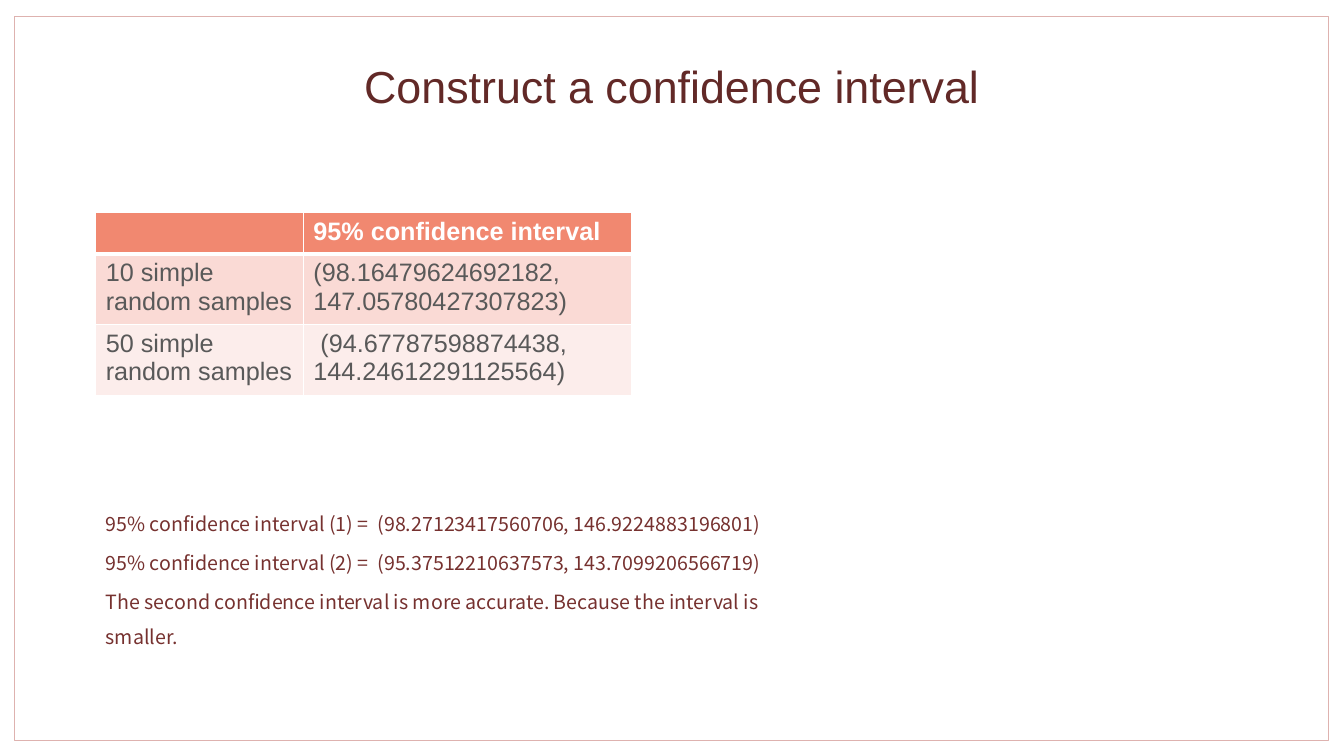
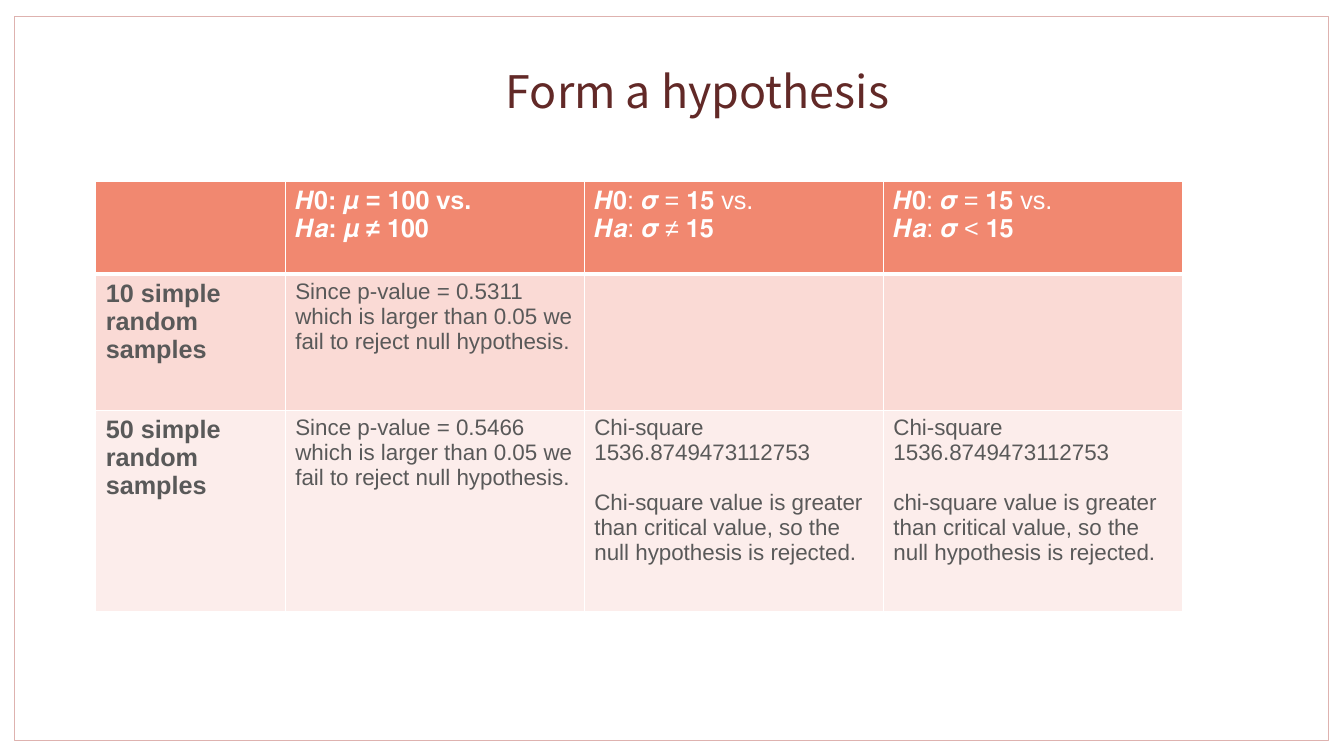
import dataclasses
import lxml.etree
import pptx
import pptx.dml.color
import pptx.enum.shapes
import pptx.enum.text
import pptx.oxml.ns
import pptx.util

Pt = pptx.util.Pt
Align = pptx.enum.text.PP_ALIGN


@dataclasses.dataclass(frozen=True)
class Theme:
    paper: str = "FFFFFF"
    edge: str = "DEB2AF"
    title: str = "622927"
    note: str = "76312F"
    cell: str = "595959"
    head: str = "F18870"
    bands: tuple = ("FADAD5", "FCEDEB")
    sans: str = "Arial"
    noto: str = "Noto Sans CJK SC"
    big: float = 32
    mid: float = 18
    small: float = 16
    tiny: float = 14
    gap: float = 18
    thin: float = 1
    thick: float = 3


THEME = Theme()


def tint(code):
    return pptx.dml.color.RGBColor.from_string(code)


def paint(item, code):
    item.fill.solid()
    item.fill.fore_color.rgb = tint(code)


def write(frame, text, face, size, code, bold=False, gap=0):
    first = True
    for block in text.split("\n\n"):
        for index, line in enumerate(block.split("\n")):
            para = frame.paragraphs[0] if first else frame.add_paragraph()
            para.text = line
            para.font.name = face
            para.font.size = Pt(size)
            para.font.color.rgb = tint(code)
            para.font.bold = bold
            if index == 0 and not first:
                para.space_before = Pt(gap)
            first = False


def add_text(slide, box, text, face, size, code):
    shape = slide.shapes.add_textbox(*map(Pt, box))
    frame = shape.text_frame
    frame.word_wrap = True
    frame.auto_size = pptx.enum.text.MSO_AUTO_SIZE.SHAPE_TO_FIT_TEXT
    write(frame, text, face, size, code)
    return frame


def add_title(slide, box, text, face):
    frame = add_text(slide, box, text, face, THEME.big, THEME.title)
    frame.margin_left = frame.margin_right = 0
    frame.margin_top = frame.margin_bottom = 0
    frame.paragraphs[0].alignment = Align.CENTER


def add_notes(slide, box, text):
    frame = add_text(slide, box, text, THEME.noto, THEME.tiny, THEME.note)
    for para in frame.paragraphs:
        para.line_spacing = 1.5
        para.space_before = Pt(2.8)


def rule_cell(cell, row):
    props = cell._tc.get_or_add_tcPr()
    widths = {
        "lnL": THEME.thin,
        "lnR": THEME.thin,
        "lnT": THEME.thick if row == 1 else THEME.thin,
        "lnB": THEME.thick if row == 0 else THEME.thin,
    }
    name = pptx.oxml.ns.qn
    for index, (side, width) in enumerate(widths.items()):
        line = lxml.etree.Element(name("a:" + side), w=str(int(Pt(width))))
        fill = lxml.etree.SubElement(line, name("a:solidFill"))
        lxml.etree.SubElement(fill, name("a:srgbClr"), val=THEME.paper)
        props.insert(index, line)


def add_grid(slide, spot, cols, rows, texts, size, keyed=False):
    box = (*spot, sum(cols), sum(rows))
    shape = slide.shapes.add_table(len(rows), len(cols), *map(Pt, box))
    table = shape.table
    table.horz_banding = False
    for col, width in zip(table.columns, cols):
        col.width = Pt(width)
    for row, height in zip(table.rows, rows):
        row.height = Pt(height)
    for r, line in enumerate(texts):
        for c, text in enumerate(line):
            cell = table.cell(r, c)
            head = r == 0
            paint(cell, THEME.head if head else THEME.bands[(r - 1) % 2])
            rule_cell(cell, r)
            if text:
                write(
                    cell.text_frame, text, THEME.sans,
                    THEME.mid if head or c == 0 else size,
                    THEME.paper if head else THEME.cell,
                    c < 2 if head else keyed and c == 0,
                    THEME.gap,
                )


def add_page(deck):
    slide = deck.slides.add_slide(deck.slide_layouts[6])
    paint(slide.background, THEME.paper)
    kind = pptx.enum.shapes.MSO_SHAPE.RECTANGLE
    frame = slide.shapes.add_shape(kind, Pt(10), Pt(11.5), Pt(939), Pt(517))
    frame.shadow.inherit = False
    paint(frame, THEME.paper)
    frame.line.color.rgb = tint(THEME.edge)
    frame.line.width = Pt(0.5)
    return slide


def show_range(deck):
    slide = add_page(deck)
    add_grid(
        slide, (68.4, 152), (148.3, 234.7), (29.5, 50.4, 50.4),
        [
            ["", "95% confidence interval"],
            ["10 simple random samples", "(98.16479624692182, 147.05780427307823)"],
            ["50 simple random samples", " (94.67787598874438, 144.24612291125564)"],
        ],
        THEME.mid,
    )
    add_title(slide, (247, 41.8, 466, 39), "Construct a confidence interval", THEME.sans)
    add_notes(
        slide, (68.4, 353.5, 512.6, 113),
        "95% confidence interval (1) =  (98.27123417560706, 146.9224883196801)\n"
        "95% confidence interval (2) =  (95.37512210637573, 143.7099206566719)\n"
        "The second confidence interval is more accurate. Because the interval is smaller.",
    )


def show_tests(deck):
    slide = add_page(deck)
    add_title(slide, (347.8, 45.4, 301, 39), "Form a hypothesis", THEME.noto)
    fail = "Since p-value = {} which is larger than 0.05 we fail to reject null hypothesis."
    chi = (
        "Chi-square\n1536.8749473112753\n\n"
        "{} value is greater than critical value, so the null hypothesis is rejected."
    )
    add_grid(
        slide, (68.4, 129.8), (135.4, 213.6, 213.6, 213.6), (66, 97.4, 143.6),
        [
            ["", "𝑯𝟎: 𝝁 = 𝟏𝟎𝟎 vs.\n𝑯𝒂: 𝝁 ≠ 𝟏𝟎𝟎",
             "𝑯𝟎: 𝝈 = 𝟏𝟓 vs.\n𝑯𝒂: 𝝈 ≠ 𝟏𝟓", "𝑯𝟎: 𝝈 = 𝟏𝟓 vs.\n𝑯𝒂: 𝝈 < 𝟏𝟓"],
            ["10 simple random samples", fail.format("0.5311"), "", ""],
            ["50 simple random samples", fail.format("0.5466"),
             chi.format("Chi-square"), chi.format("chi-square")],
        ],
        THEME.small, keyed=True,
    )


def main():
    deck = pptx.Presentation()
    deck.slide_width, deck.slide_height = Pt(960), Pt(540)
    show_range(deck)
    show_tests(deck)
    deck.save("out.pptx")


if __name__ == "__main__":
    main()
